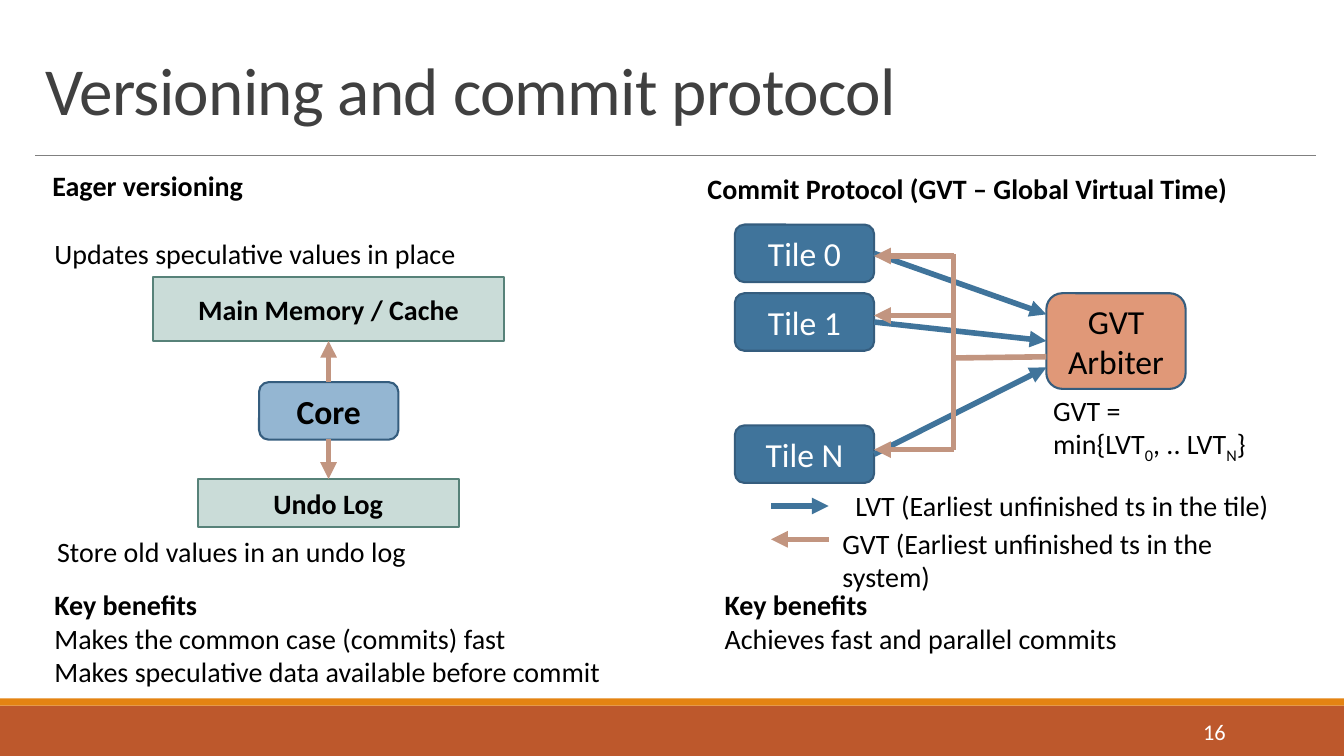
from dataclasses import dataclass

from lxml.etree import SubElement
from pptx import Presentation
from pptx.dml.color import RGBColor
from pptx.enum.shapes import MSO_CONNECTOR, MSO_SHAPE
from pptx.enum.text import MSO_ANCHOR, MSO_AUTO_SIZE, PP_ALIGN
from pptx.oxml.ns import qn
from pptx.util import Cm, Pt

FONT = "Calibri"
BLACK = RGBColor(0x00, 0x00, 0x00)
WHITE = RGBColor(0xFF, 0xFF, 0xFF)
TITLE_GRAY = RGBColor(0x40, 0x40, 0x40)
RULE_GRAY = RGBColor(0x80, 0x80, 0x80)
FOOTER_RUST = RGBColor(0xBD, 0x58, 0x2C)
FOOTER_ORANGE = RGBColor(0xE4, 0x83, 0x12)
CORE_BLUE = RGBColor(0x94, 0xB6, 0xD2)
TILE_BLUE = RGBColor(0x40, 0x74, 0x9B)
BLUE_EDGE = RGBColor(0x35, 0x5D, 0x7E)
MEMORY_GREEN = RGBColor(0xCA, 0xDC, 0xD8)
GREEN_EDGE = RGBColor(0x57, 0x82, 0x79)
ARBITER_ORANGE = RGBColor(0xE0, 0x98, 0x78)
GVT_TAN = RGBColor(0xC2, 0x95, 0x80)

TILE_LEFT, TILE_WIDTH, TILE_HEIGHT = 18.52, 3.51, 1.45
TILE_RIGHT = TILE_LEFT + TILE_WIDTH
ARBITER_LEFT = 26.37
BUS_X = 24.03
CORE_CENTER = 8.28


@dataclass(frozen=True)
class Span:
    text: str
    bold: bool = False
    subscript: bool = False


@dataclass(frozen=True)
class Box:
    """A shape with its place in centimetres, text and colours."""
    left: float
    top: float
    width: float
    height: float
    fill: RGBColor
    text: str = ""
    edge: RGBColor | None = None
    color: RGBColor = BLACK
    size: int = 24
    bold: bool = False
    rounded: bool = False


@dataclass(frozen=True)
class Label:
    """A text box with its place in centimetres and its paragraphs."""
    left: float
    top: float
    width: float
    height: float
    paragraphs: list[list[Span]]


@dataclass(frozen=True)
class Line:
    start: tuple[float, float]
    end: tuple[float, float]
    color: RGBColor
    arrow: bool = True
    weight: float = 4


@dataclass(frozen=True)
class Tile:
    name: str
    top: float
    gvt_y: float


TILES = [Tile("Tile 0", 5.66, 6.45), Tile("Tile 1", 7.39, 7.95), Tile("Tile N", 10.72, 11.33)]

BOXES = [
    Box(0, 17.78, 33.87, 1.27, FOOTER_RUST),
    Box(0, 17.6, 33.87, 0.18, FOOTER_ORANGE),
    Box(6.53, 9.63, 3.51, 1.45, CORE_BLUE, "Core", BLUE_EDGE, bold=True, rounded=True),
    Box(3.86, 6.99, 8.84, 1.6, MEMORY_GREEN, "Main Memory / Cache", GREEN_EDGE, size=20, bold=True),
    Box(4.98, 12.07, 6.58, 1.22, MEMORY_GREEN, "Undo Log", GREEN_EDGE, size=20, bold=True),
    Box(ARBITER_LEFT, 7.39, 3.51, 2.41, ARBITER_ORANGE, "GVT Arbiter", BLUE_EDGE, rounded=True),
] + [
    Box(TILE_LEFT, tile.top, TILE_WIDTH, TILE_HEIGHT, TILE_BLUE, tile.name, BLUE_EDGE, WHITE, rounded=True)
    for tile in TILES
]

LINES = [
    Line((0.89, 3.91), (33.17, 3.91), RULE_GRAY, arrow=False, weight=0.5),
    *[
        Line((TILE_RIGHT, tile.top + TILE_HEIGHT / 2), (ARBITER_LEFT, 7.92 + 0.67 * index), TILE_BLUE)
        for index, tile in enumerate(TILES)
    ],
    Line((ARBITER_LEFT, 8.99), (BUS_X, 9.02), GVT_TAN, arrow=False),
    *[Line((BUS_X, tile.gvt_y), (TILE_RIGHT, tile.gvt_y), GVT_TAN) for tile in TILES],
    Line((BUS_X, 6.4), (BUS_X, 11.33), GVT_TAN, arrow=False),
    Line((19.43, 12.75), (20.88, 12.75), TILE_BLUE),
    Line((20.88, 13.59), (19.43, 13.59), GVT_TAN),
    Line((CORE_CENTER, 9.63), (CORE_CENTER, 8.59), GVT_TAN),
    Line((CORE_CENTER, 11.05), (CORE_CENTER, 12.07), GVT_TAN),
]

LABELS = [
    Label(1.07, 4.11, 15.16, 1.12, [[Span("Eager versioning", bold=True)]]),
    Label(17.58, 4.19, 15.98, 1.96, [[Span("Commit Protocol (GVT – Global Virtual Time)", bold=True)]]),
    Label(1.12, 5.84, 13.9, 1.12, [[Span("Updates speculative values in place")]]),
    Label(1.19, 13.34, 9.37, 1.12, [[Span("Store old values in an undo log")]]),
    Label(21.31, 12.19, 11.05, 1.12, [[Span("LVT (Earliest unfinished ts in the tile)")]]),
    Label(20.98, 13.13, 11.99, 1.12, [[Span("GVT (Earliest unfinished ts in the system)")]]),
    Label(26.29, 9.78, 6.15, 1.96, [
        [Span("GVT =")],
        [Span("min{LVT"), Span("0", subscript=True), Span(", .. LVT"), Span("N", subscript=True), Span("}")],
    ]),
    Label(1.12, 14.68, 16.89, 2.82, [
        [Span("Key benefits", bold=True)],
        [Span("Makes the common case (commits) fast")],
        [Span("Makes speculative data available before commit")],
    ]),
    Label(18.01, 14.68, 15.16, 1.96, [
        [Span("Key benefits", bold=True)],
        [Span("Achieves fast and parallel commits")],
    ]),
]


def add_span(paragraph, span: Span, *, size: int = 20, color: RGBColor = BLACK):
    run = paragraph.add_run()
    run.text = span.text
    run.font.name = FONT
    run.font.size = Pt(size)
    run.font.bold = span.bold
    run.font.color.rgb = color
    if span.subscript:
        run._r.get_or_add_rPr().set("baseline", "-25000")
    return run


def add_box(slide, box: Box) -> None:
    kind = MSO_SHAPE.ROUNDED_RECTANGLE if box.rounded else MSO_SHAPE.RECTANGLE
    shape = slide.shapes.add_shape(kind, Cm(box.left), Cm(box.top), Cm(box.width), Cm(box.height))
    shape.shadow.inherit = False
    shape.fill.solid()
    shape.fill.fore_color.rgb = box.fill
    if box.edge is None:
        shape.line.fill.background()
    else:
        shape.line.color.rgb = box.edge
        shape.line.width = Pt(1.5)
    if box.text:
        frame = shape.text_frame
        frame.margin_left = frame.margin_right = frame.margin_top = frame.margin_bottom = 0
        frame.vertical_anchor = MSO_ANCHOR.MIDDLE
        frame.paragraphs[0].alignment = PP_ALIGN.CENTER
        add_span(frame.paragraphs[0], Span(box.text, box.bold), size=box.size, color=box.color)


def add_line(slide, line: Line) -> None:
    (start_x, start_y), (end_x, end_y) = line.start, line.end
    connector = slide.shapes.add_connector(
        MSO_CONNECTOR.STRAIGHT, Cm(start_x), Cm(start_y), Cm(end_x), Cm(end_y))
    connector.line.color.rgb = line.color
    connector.line.width = Pt(line.weight)
    if line.arrow:
        SubElement(connector.line._get_or_add_ln(), qn("a:tailEnd"), type="triangle")
    SubElement(connector._element.spPr, qn("a:effectLst"))


def add_label(slide, label: Label):
    text_box = slide.shapes.add_textbox(Cm(label.left), Cm(label.top), Cm(label.width), Cm(label.height))
    frame = text_box.text_frame
    frame.word_wrap = True
    for index, spans in enumerate(label.paragraphs):
        paragraph = frame.add_paragraph() if index else frame.paragraphs[0]
        for span in spans:
            add_span(paragraph, span)
    return text_box


def set_title(slide, text: str) -> None:
    title = slide.shapes.title
    title.left, title.top, title.width, title.height = Cm(0.89), Cm(0.84), Cm(32.31), Cm(2.54)
    frame = title.text_frame
    frame.auto_size = MSO_AUTO_SIZE.NONE
    frame.vertical_anchor = MSO_ANCHOR.BOTTOM
    paragraph = frame.paragraphs[0]
    paragraph.alignment = PP_ALIGN.LEFT
    paragraph.line_spacing = 0.85
    run = add_span(paragraph, Span(text), size=48, color=TITLE_GRAY)
    run._r.get_or_add_rPr().set("spc", "-50")


def add_slide_number(slide, number: str) -> None:
    frame = add_label(slide, Label(27.51, 17.93, 3.63, 1.02, [[]])).text_frame
    frame.vertical_anchor = MSO_ANCHOR.MIDDLE
    frame.paragraphs[0].alignment = PP_ALIGN.RIGHT
    add_span(frame.paragraphs[0], Span(number), size=16, color=WHITE)


def main() -> None:
    presentation = Presentation()
    presentation.slide_width, presentation.slide_height = Cm(33.87), Cm(19.05)
    slide = presentation.slides.add_slide(presentation.slide_layouts[5])
    set_title(slide, "Versioning and commit protocol")
    for box in BOXES:
        add_box(slide, box)
    for line in LINES:
        add_line(slide, line)
    for label in LABELS:
        add_label(slide, label)
    add_slide_number(slide, "16")
    presentation.save("out.pptx")


if __name__ == "__main__":
    main()
